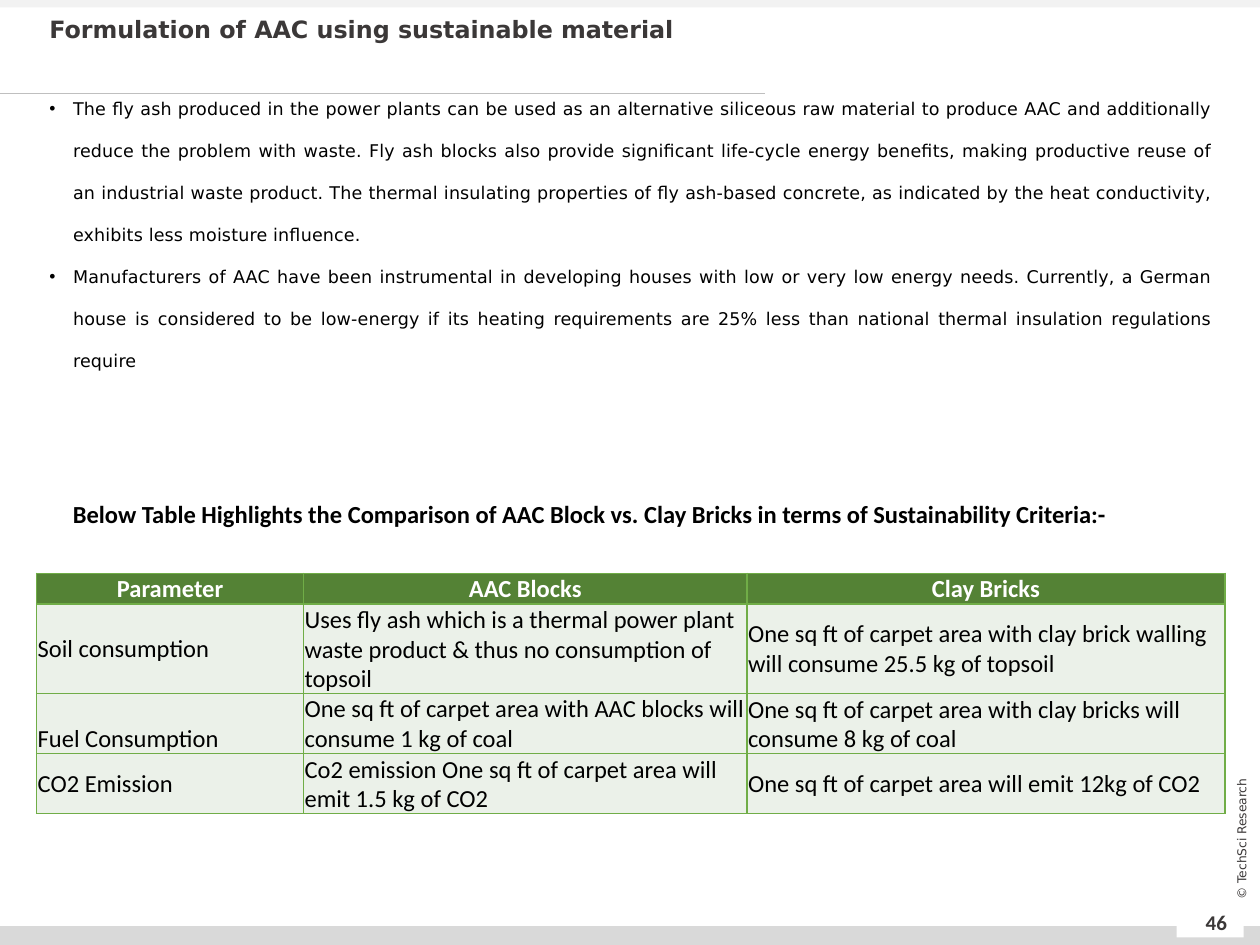
from lxml import etree
from pptx import Presentation
from pptx.dml.color import RGBColor
from pptx.enum.shapes import MSO_CONNECTOR, MSO_SHAPE
from pptx.enum.text import MSO_ANCHOR, MSO_AUTO_SIZE, PP_ALIGN
from pptx.oxml import parse_xml
from pptx.oxml.ns import nsdecls, qn
from pptx.util import Cm, Pt

STRAIGHT, RECT = MSO_CONNECTOR.STRAIGHT, MSO_SHAPE.RECTANGLE
LEFT, CENTER, JUSTIFY = PP_ALIGN.LEFT, PP_ALIGN.CENTER, PP_ALIGN.JUSTIFY
TOP, MIDDLE, BOTTOM = MSO_ANCHOR.TOP, MSO_ANCHOR.MIDDLE, MSO_ANCHOR.BOTTOM
NO_FIT = MSO_AUTO_SIZE.NONE

COLORS = {
    "text": "000000", "dark": "3B3838", "white": "FFFFFF",
    "rule": "BFBFBF", "top": "F2F2F2", "bottom": "D9D9D9",
    "header": "548235", "cell": "EBF1E9", "border": "70AD47",
}

TITLE = "Formulation of AAC using sustainable material"
BULLETS = [
    "The fly ash produced in the power plants can be used as an alternative siliceous raw "
    "material to produce AAC and additionally reduce the problem with waste. Fly ash blocks "
    "also provide significant life-cycle energy benefits, making productive reuse of an "
    "industrial waste product. The thermal insulating properties of fly ash-based concrete, "
    "as indicated by the heat conductivity, exhibits less moisture influence.",
    "Manufacturers of AAC have been instrumental in developing houses with low or very low "
    "energy needs. Currently, a German house is considered to be low-energy if its heating "
    "requirements are 25% less than national thermal insulation regulations require",
]
CAPTION = ("Below Table Highlights the Comparison of AAC Block vs. Clay Bricks "
           "in terms of Sustainability Criteria:-")
ROWS = [
    ["Parameter", "AAC Blocks", "Clay Bricks"],
    ["Soil consumption",
     "Uses fly ash which is a thermal power plant waste product & thus no consumption of topsoil",
     "One sq ft of carpet area with clay brick walling will consume 25.5 kg of topsoil"],
    ["Fuel Consumption",
     "One sq ft of carpet area with AAC blocks will consume 1 kg of coal",
     "One sq ft of carpet area with clay bricks will consume 8 kg of coal"],
    ["CO2 Emission",
     "Co2 emission One sq ft of carpet area will emit 1.5 kg of CO2",
     "One sq ft of carpet area will emit 12kg of CO2"],
]
COL_WIDTHS = [5.38, 8.94, 9.63]
ROW_HEIGHTS = [0.61, 1.81, 1.21, 1.21]
BOTTOM_CELLS = {(2, 0), (2, 1)}


class SlideBuilder:
    """Holds the style and the current slide, and draws each kind of element."""

    heading_font = "DejaVu Sans"
    table_font = "Calibri"

    def __init__(self, slide):
        self.s = slide

    def color(self, name):
        return RGBColor.from_string(COLORS[name])

    def style(self, p, size, font, color, bold=False, align=LEFT):
        p.alignment = align
        for r in p.runs:
            r.font.size, r.font.name, r.font.bold = Pt(size), font, bold
            r.font.color.rgb = self.color(color)

    def place(self, sp, left, top, width, height):
        sp.left, sp.top, sp.width, sp.height = Cm(left), Cm(top), Cm(width), Cm(height)

    def bar(self, left, top, width, height, color):
        sp = self.s.shapes.add_shape(RECT, Cm(left), Cm(top), Cm(width), Cm(height))
        sp.shadow.inherit = False
        sp.fill.solid()
        sp.fill.fore_color.rgb = self.color(color)
        sp.line.fill.background()

    def rule(self, x1, x2, y):
        line = self.s.shapes.add_connector(STRAIGHT, Cm(x1), Cm(y), Cm(x2), Cm(y))
        line.line.color.rgb = self.color("rule")
        line.line.width = Pt(0.5)
        etree.SubElement(line._element.spPr, qn("a:effectLst"))

    def label(self, text, box, size, font, color, bold=False, align=CENTER,
              anchor=MIDDLE, rotation=0):
        sp = self.s.shapes.add_textbox(*map(Cm, box))
        sp.rotation = rotation
        tf = sp.text_frame
        tf.word_wrap = rotation == 0
        tf.vertical_anchor = anchor
        tf.text = text
        self.style(tf.paragraphs[0], size, font, color, bold, align)

    def title(self, text, *box):
        sp = self.s.shapes.title
        self.place(sp, *box)
        tf = sp.text_frame
        tf.text = text
        tf.auto_size, tf.vertical_anchor = NO_FIT, MIDDLE
        p = tf.paragraphs[0]
        p.line_spacing = 0.8
        self.style(p, 13.6, self.heading_font, "dark", True)

    def bullets(self, items, *box):
        sp = self.s.placeholders[1]
        self.place(sp, *box)
        tf = sp.text_frame
        tf.text = "\n".join(items)
        tf.auto_size, tf.vertical_anchor = NO_FIT, TOP
        for p in tf.paragraphs:
            pPr = p._p.get_or_add_pPr()
            pPr.set("marL", str(Cm(0.48)))
            pPr.set("indent", str(-Cm(0.48)))
            p.line_spacing, p.space_before = 2.0, Pt(0)
            self.style(p, 10, self.heading_font, "text", align=JUSTIFY)
            for r in p.runs:
                r.font._element.set("spc", "10")

    def borders(self, cell):
        tcPr = cell._tc.get_or_add_tcPr()
        for side in ("lnL", "lnR", "lnT", "lnB"):
            tcPr.append(parse_xml(
                f'<a:{side} {nsdecls("a")} w="{Pt(1)}"><a:solidFill>'
                f'<a:srgbClr val="{COLORS["border"]}"/></a:solidFill></a:{side}>'))

    def table(self, rows, left, top):
        table = self.s.shapes.add_table(
            len(rows), len(COL_WIDTHS), Cm(left), Cm(top),
            Cm(sum(COL_WIDTHS)), Cm(sum(ROW_HEIGHTS))).table
        for col, width in zip(table.columns, COL_WIDTHS):
            col.width = Cm(width)
        for i, (row, height) in enumerate(zip(rows, ROW_HEIGHTS)):
            table.rows[i].height = Cm(height)
            for j, text in enumerate(row):
                self.cell(table.cell(i, j), text, i == 0,
                          BOTTOM if (i, j) in BOTTOM_CELLS else MIDDLE)

    def cell(self, cell, text, header, anchor):
        cell.text = text
        cell.margin_left = cell.margin_right = cell.margin_top = Cm(0.02)
        cell.margin_bottom = 0
        cell.vertical_anchor = anchor
        self.borders(cell)
        cell.fill.solid()
        cell.fill.fore_color.rgb = self.color("header" if header else "cell")
        self.style(cell.text_frame.paragraphs[0], 14, self.table_font,
                   "white" if header else "text", header, CENTER if header else LEFT)


def main():
    prs = Presentation()
    prs.slide_width, prs.slide_height = Cm(25.4), Cm(19.05)
    b = SlideBuilder(prs.slides.add_slide(prs.slide_layouts[1]))
    b.rule(0, 15.42, 1.88)
    b.bar(0, 18.67, 25.4, 0.38, "bottom")
    b.bar(0, 0, 25.4, 0.15, "top")
    b.bar(23.72, 18.34, 1.35, 0.56, "white")
    b.label("46", (23.9, 18.08, 1.24, 1.02), 12, b.table_font, "dark", True)
    b.label("© TechSci Research", (23.5, 16.71, 3.05, 0.41), 7, b.heading_font, "dark",
            rotation=270)
    b.title(TITLE, 0.74, 0, 21.84, 1.27)
    b.bullets(BULLETS, 0.74, 1.42, 23.95, 6.96)
    b.table(ROWS, 0.74, 11.56)
    b.label(CAPTION, (1.22, 9.93, 22.07, 0.86), 14, b.table_font, "text", True, LEFT, TOP)
    prs.save("out.pptx")


if __name__ == "__main__":
    main()
